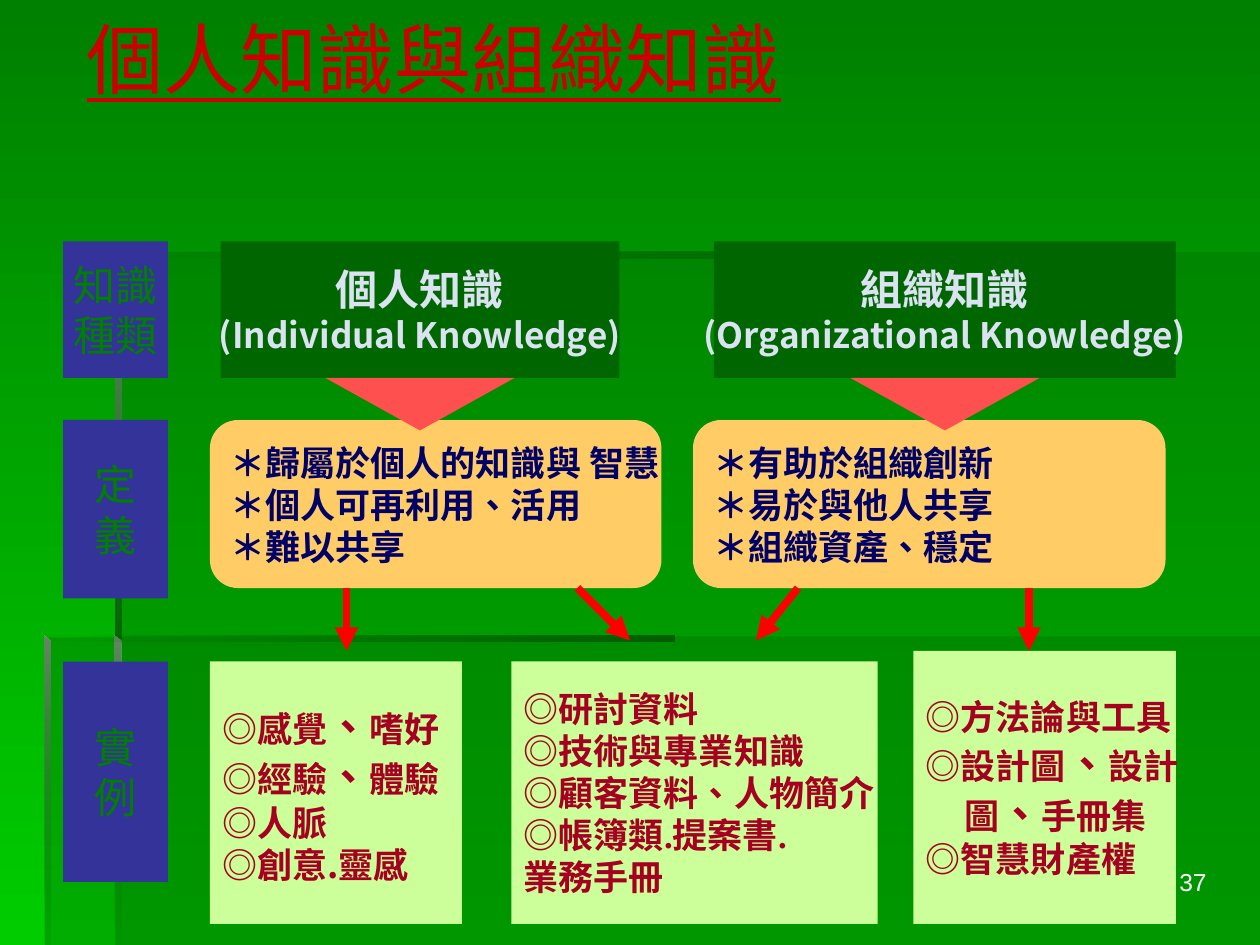
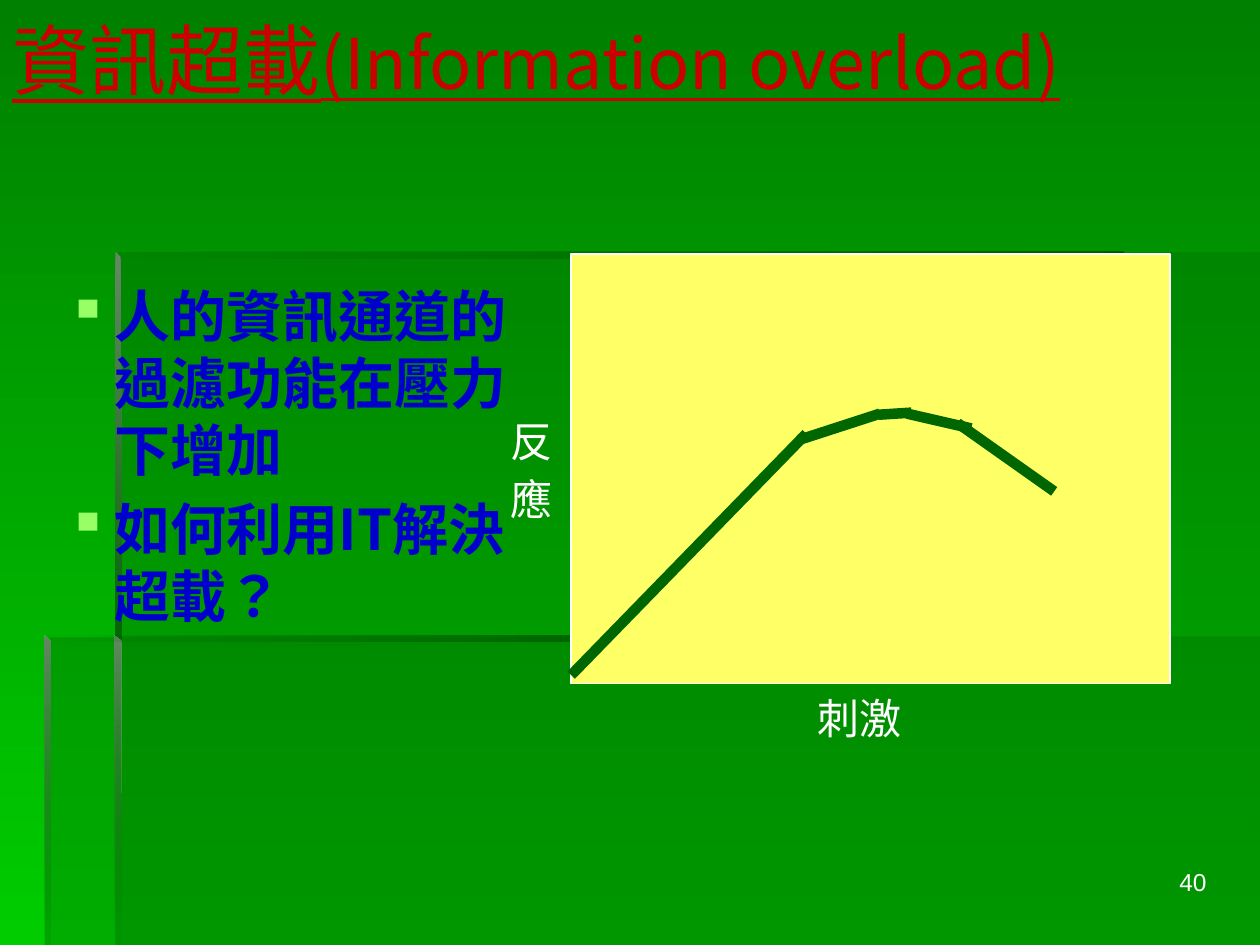
"""Build two slides on personal knowledge, organizational knowledge and information overload."""
from itertools import chain

from lxml.etree import SubElement
from pptx import Presentation
from pptx.dml.color import RGBColor
from pptx.enum.shapes import MSO_CONNECTOR, MSO_SHAPE
from pptx.enum.text import MSO_ANCHOR, PP_ALIGN
from pptx.oxml.ns import qn
from pptx.util import Pt

PX = 7620
WIDTH, HEIGHT = 1200, 900
SANS, SERIF, TITLE_FONT, NUMBER_FONT = "Noto Sans CJK SC", "Times New Roman", "Montserrat", "Arial"
COLORS = {
    "top": "008000", "bottom": "00CC00", "panel": "006600", "edge": "005E00", "bevel": "668666",
    "title": "CC0000", "white": "FFFFFF", "label": "333399", "label_text": "008000",
    "heading_text": "DBE2F1", "definition": "FFCC66", "definition_text": "000066",
    "example": "CCFF99", "example_text": "A50021", "arrow": "FF0000", "pointer": "FF5050",
    "body": "0000CC", "bullet": "99FF66", "chart": "FFFF66", "curve": "006600",
}
PANELS = [
    [(110, 606), (110, 900), (1200, 900), (1200, 606)],
    [(113, 607), (43, 607), (43, 900), (1200, 900), (1200, 240), (113, 240)],
]
BEVELS = [
    ([(110, 240), (110, 246), (1070, 246), (1070, 240)], ("panel", 0), ("edge", 100), 0),
    ([(110, 240), (110, 612), (116, 612), (115, 245)], ("bevel", 100), ("panel", 100), 90),
    ([(109, 900), (116, 900), (115, 610), (109, 605)], ("bevel", 100), ("panel", 0), 90),
    ([(42, 605), (42, 611), (642, 611), (642, 605)], ("panel", 0), ("edge", 100), 0),
    ([(42, 605), (42, 900), (48, 900), (48, 611)], ("bevel", 100), ("panel", 10), 90),
]


def rgb(name):
    """Return the named colour."""
    return RGBColor.from_string(COLORS[name])


def set_alpha(shape, percents):
    """Give each fill colour of the shape its opacity in percent."""
    for color, percent in zip(shape.element.spPr.iter(qn("a:srgbClr")), percents):
        if percent < 100:
            SubElement(color, qn("a:alpha")).set("val", str(percent * 1000))


def fill_gradient(fill, first, last, angle):
    """Fill with two colours along a clockwise angle."""
    fill.gradient()
    fill.gradient_angle = (360 - angle) % 360
    for stop, name, position in zip(fill.gradient_stops, (first, last), (0, 1)):
        stop.color.rgb = rgb(name)
        stop.position = position


def add_outline(slide, points):
    """Draw a closed outline without line or shadow."""
    builder = slide.shapes.build_freeform(*points[0], scale=PX)
    builder.add_line_segments(points[1:], close=True)
    shape = builder.convert_to_shape()
    shape.shadow.inherit = False
    shape.line.fill.background()
    return shape


def add_backdrop(slide):
    """Paint the background, the translucent panels and their bevelled edges."""
    fill_gradient(slide.background.fill, "top", "bottom", 90)
    for points in PANELS:
        panel = add_outline(slide, points)
        panel.fill.solid()
        panel.fill.fore_color.rgb = rgb("panel")
        set_alpha(panel, [30])
    for points, (first, first_alpha), (last, last_alpha), angle in BEVELS:
        bevel = add_outline(slide, points)
        fill_gradient(bevel.fill, first, last, angle)
        set_alpha(bevel, [first_alpha, last_alpha])


def add_shape(slide, kind, box, fill):
    """Add a flat preset shape without a line."""
    shape = slide.shapes.add_shape(kind, *(value * PX for value in box))
    shape.shadow.inherit = False
    shape.fill.solid()
    shape.fill.fore_color.rgb = rgb(fill)
    shape.line.fill.background()
    return shape


def write(shape, lines, color, size, font=SANS, bold=False, underline=False,
          align=PP_ALIGN.LEFT, anchor=MSO_ANCHOR.MIDDLE, wrap=False):
    """Write lines, each a string or a list of (text, size) runs."""
    frame = shape.text_frame
    frame.word_wrap = wrap
    frame.vertical_anchor = anchor
    for index, line in enumerate(lines):
        paragraph = frame.add_paragraph() if index else frame.paragraphs[0]
        paragraph.alignment = align
        for text, run_size in [(line, size)] if isinstance(line, str) else line:
            run = paragraph.add_run()
            run.text = text
            run.font.name = font
            run.font.size = Pt(run_size)
            run.font.bold = bold
            run.font.underline = underline
            run.font.color.rgb = rgb(color)
            properties = run.font._element
            properties.set("lang", "zh-TW")
            east_asian = SubElement(properties, qn("a:ea"))
            east_asian.set("typeface", SANS)
    return frame


def add_text(slide, box, lines, color, size, **style):
    """Add a text box and write its lines."""
    text_box = slide.shapes.add_textbox(*(value * PX for value in box))
    return write(text_box, lines, color, size, **style)


def add_line(slide, start, end, color, width, arrow=False):
    """Draw a straight line, with an arrowhead if asked."""
    connector = slide.shapes.add_connector(
        MSO_CONNECTOR.STRAIGHT, *(value * PX for value in chain(start, end)))
    connector.line.color.rgb = rgb(color)
    connector.line.width = Pt(width)
    if arrow:
        SubElement(connector.line._get_or_add_ln(), qn("a:tailEnd")).set("type", "triangle")
    SubElement(connector.element.spPr, qn("a:effectLst"))


def add_frame(presentation, number):
    """Add a slide with the shared backdrop and its page number."""
    slide = presentation.slides.add_slide(presentation.slide_layouts[6])
    add_backdrop(slide)
    add_text(slide, (911, 820, 250, 62), [number], "white", 14, font=NUMBER_FONT,
             align=PP_ALIGN.RIGHT, anchor=MSO_ANCHOR.TOP, wrap=True)
    return slide


def add_title(slide, box, runs, font=SANS):
    """Add the underlined red title."""
    add_text(slide, box, [runs], "title", 44, font=font, underline=True, wrap=True)


def add_row_labels(slide, left):
    """Add the column of row labels."""
    rows = [(230, 130, ["知識", "種類"]), (400, 170, ["定", "義"]), (630, 210, ["實", "例"])]
    for top, height, lines in rows:
        label = add_shape(slide, MSO_SHAPE.RECTANGLE, (left, top, 100, height), "label")
        write(label, lines, "label_text", 24, font=SERIF, align=PP_ALIGN.CENTER)


def add_knowledge_kind(slide, heading_box, definition_box, heading, definition):
    """Add a heading whose pointer leads to its definition."""
    left, top, width, height = heading_box
    header = add_shape(slide, MSO_SHAPE.RECTANGLE, heading_box, "panel")
    write(header, [[(heading[0], 24)], [(heading[1], 20)]], "heading_text", 24,
          bold=True, align=PP_ALIGN.CENTER)
    card = add_shape(slide, MSO_SHAPE.FLOWCHART_ALTERNATE_PROCESS, definition_box, "definition")
    write(card, definition, "definition_text", 20, font=SERIF, bold=True)
    pointer_box = (left + width // 2 - 90, top + height, 180, 50)
    add_shape(slide, MSO_SHAPE.FLOWCHART_MERGE, pointer_box, "pointer")


def add_examples(slide, box, lines, font=SERIF):
    """Add a card of examples."""
    card = add_shape(slide, MSO_SHAPE.RECTANGLE, box, "example")
    return write(card, lines, "example_text", 20, font=font, bold=True)


def build_knowledge_slide(presentation):
    """Compare personal with organizational knowledge."""
    slide = add_frame(presentation, "37")
    add_row_labels(slide, 60)
    add_knowledge_kind(slide, (210, 230, 380, 130), (200, 400, 430, 160),
                       ("個人知識", "(Individual Knowledge)"),
                       ["＊歸屬於個人的知識與 智慧", "＊個人可再利用、活用", "＊難以共享"])
    add_knowledge_kind(slide, (680, 230, 440, 130), (660, 400, 450, 160),
                       ("組織知識", "(Organizational Knowledge)"),
                       ["＊有助於組織創新", "＊易於與他人共享", "＊組織資產、穩定"])
    comma = ("、", 24)
    add_examples(slide, (200, 630, 240, 250),
                 [[("◎感覺", 20), comma, ("嗜好", 20)], [("◎經驗", 20), comma, ("體驗", 20)],
                  "◎人脈", "◎創意.靈感"], font=SANS)
    add_examples(slide, (487, 630, 349, 250),
                 ["◎研討資料", "◎技術與專業知識", "◎顧客資料、人物簡介", "◎帳簿類.提案書.", "業務手冊"])
    methods = add_examples(slide, (870, 620, 250, 260),
                           ["◎方法論與工具", [("◎設計圖", 20), comma, ("設計", 20)],
                            [("圖", 20), comma, ("手冊集", 20)], "◎智慧財產權"])
    methods.paragraphs[2]._p.get_or_add_pPr().set("marL", str(37 * PX))
    for start, end in [((330, 560), (330, 620)), ((980, 560), (980, 620)),
                       ((550, 560), (600, 610)), ((760, 560), (720, 610))]:
        add_line(slide, start, end, "arrow", 4.5, arrow=True)
    add_title(slide, (71, -50, 901, 210), [("個人知識與組織知識", 44)], font=TITLE_FONT)


def add_bullets(slide, box, lines):
    """Add the bulleted points."""
    frame = add_text(slide, box, lines, "body", 32, bold=True, anchor=MSO_ANCHOR.TOP, wrap=True)
    for index, paragraph in enumerate(frame.paragraphs):
        if index:
            paragraph.space_before = Pt(6.4)
        properties = paragraph._p.get_or_add_pPr()
        properties.set("marL", str(45 * PX))
        properties.set("indent", str(-45 * PX))
        bullet_color = SubElement(properties, qn("a:buClr"))
        SubElement(bullet_color, qn("a:srgbClr")).set("val", COLORS["bullet"])
        SubElement(properties, qn("a:buChar")).set("char", "▪")


def add_response_chart(slide, left, top, width, height):
    """Add the sketch of response against stimulus with its axis names."""
    plot = add_shape(slide, MSO_SHAPE.RECTANGLE, (left, top, width, height), "chart")
    plot.line.color.rgb = rgb("white")
    plot.line.width = Pt(1)
    axis_names = [((left + 227, top + height - 3, 97, 62), ["刺激"]),
                  ((left - 66, top + 142, 56, 118), ["反", "應"])]
    for box, lines in axis_names:
        frame = add_text(slide, box, lines, "white", 24, anchor=MSO_ANCHOR.TOP)
        frame.margin_left = frame.margin_right = 8 * PX
        frame.margin_top = frame.margin_bottom = 4 * PX
        for paragraph in frame.paragraphs:
            paragraph.line_spacing = 1.16
    segments = [((0, 401), (224, 171)), ((217, 177), (294, 152)), ((293, 153), (324, 151)),
                ((320, 152), (381, 166)), ((368, 161), (460, 226))]
    for segment in segments:
        start, end = [(left + x, top + y) for x, y in segment]
        add_line(slide, start, end, "curve", 6)


def build_overload_slide(presentation):
    """Show how response falls under too much stimulus."""
    slide = add_frame(presentation, "40")
    add_title(slide, (0, -32, 1105, 175), [("資訊超載", 44), ("(Information overload)", 40)])
    add_bullets(slide, (52, 262, 443, 433),
                ["人的資訊通道的過濾功能在壓力下增加", "如何利用IT解決超載？"])
    add_response_chart(slide, 544, 242, 570, 409)


def main():
    """Build and save the presentation."""
    presentation = Presentation()
    presentation.slide_width, presentation.slide_height = WIDTH * PX, HEIGHT * PX
    build_knowledge_slide(presentation)
    build_overload_slide(presentation)
    presentation.save("out.pptx")


if __name__ == "__main__":
    main()
